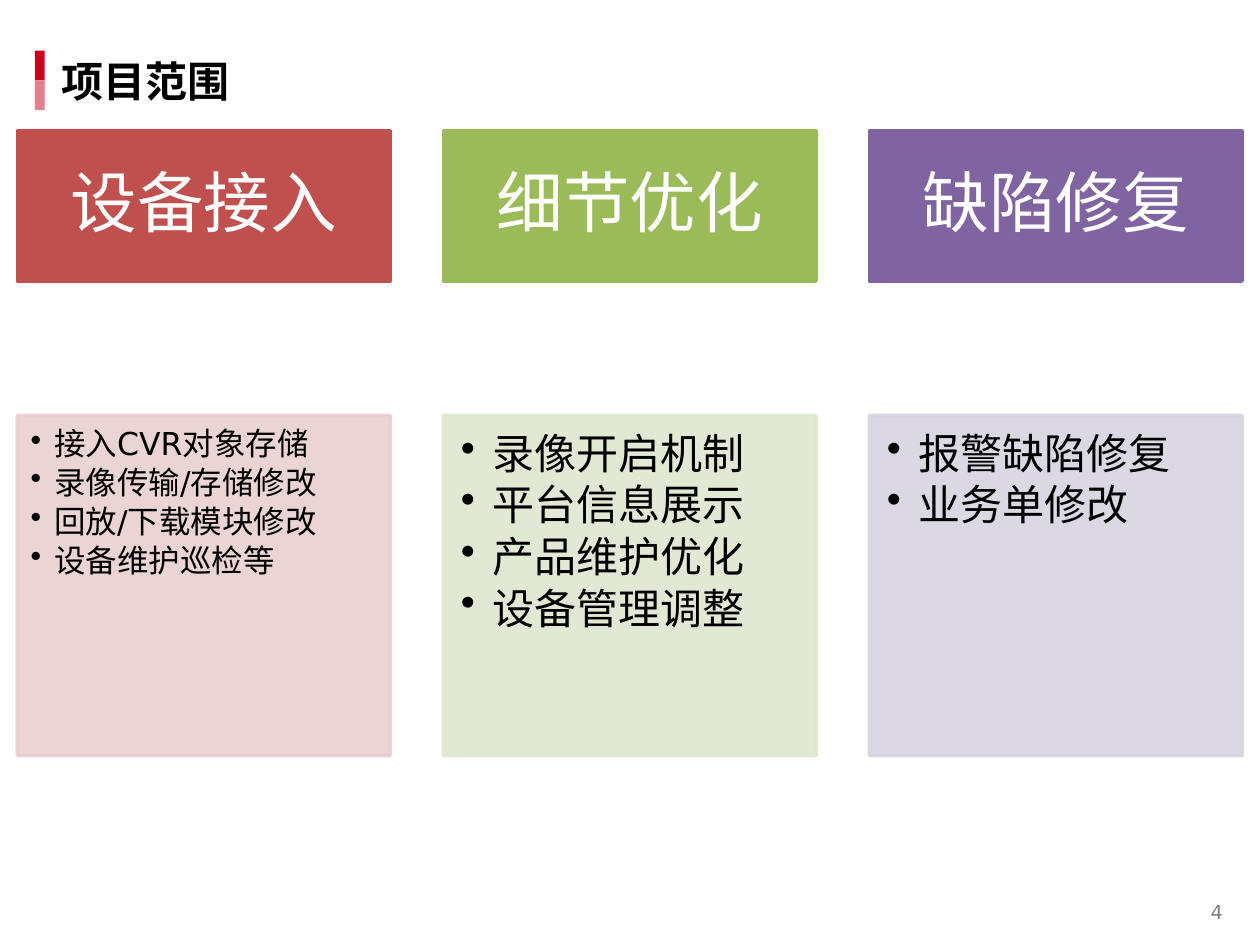
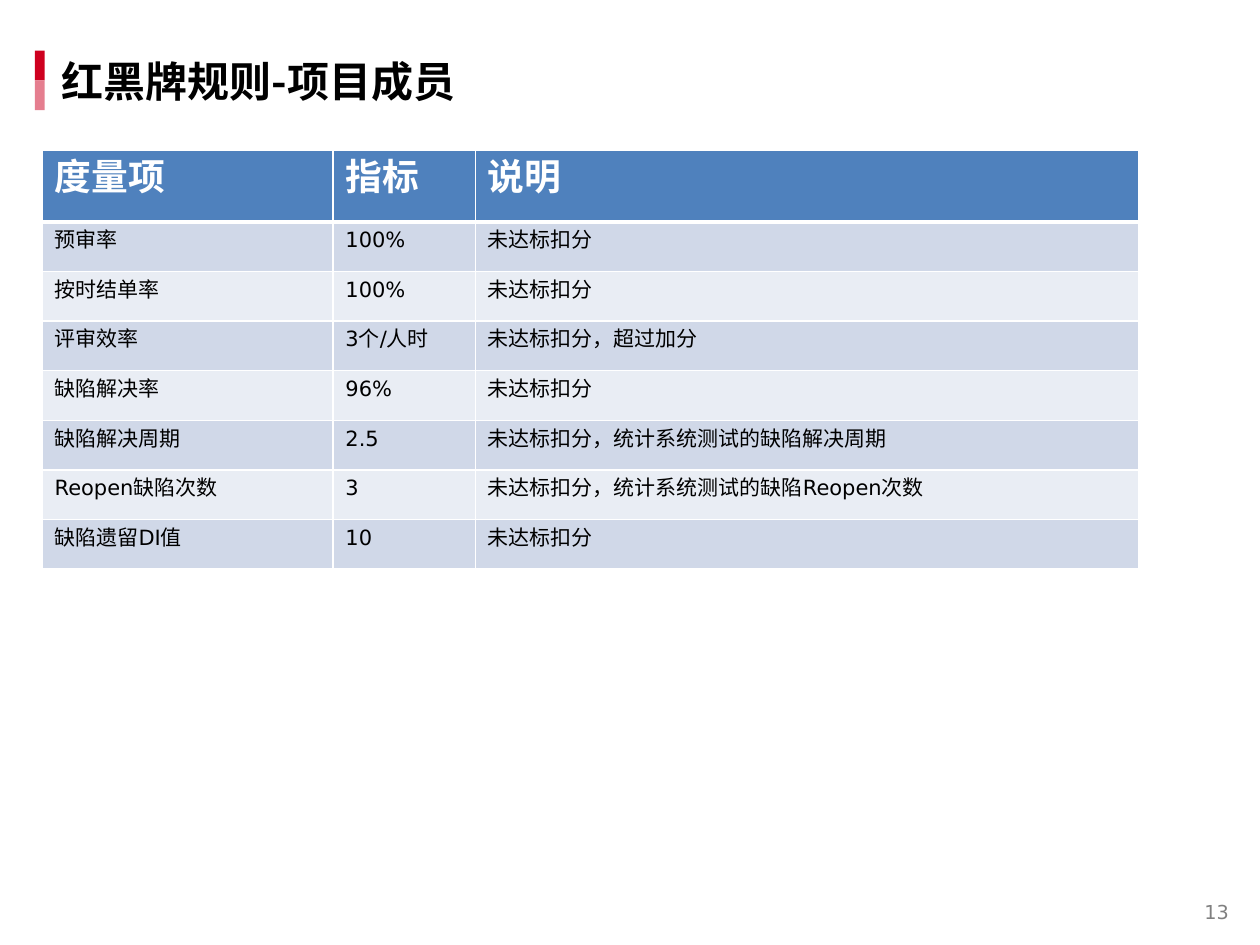
"""Build two project slides: scope cards and a table of scoring rules."""
from dataclasses import dataclass
from typing import Optional

from lxml import etree
from pptx import Presentation
from pptx import util as u
from pptx.dml import color
from pptx.enum import shapes, text
from pptx.oxml import ns

Pt = u.Pt
BODY_FONT = "DejaVu Sans"
TITLE_FONT = "Noto Sans CJK SC"
NUMBER_FONT = "Arial Narrow"
COLORS = {
    "white": "FFFFFF", "black": "000000", "grey": "808080",
    "accent": "CE001F", "accent_light": "E57E8F",
    "red": "C0504D", "red_light": "E8D0D0",
    "green": "9BBB59", "green_light": "DEE7D1",
    "purple": "8064A2", "purple_light": "D8D3E0",
    "header": "4F81BD", "band_dark": "D0D8E8", "band_light": "E9EDF4",
}


@dataclass(frozen=True)
class Area:
    left: float
    top: float
    width: float
    height: float


@dataclass(frozen=True)
class Style:
    size: float
    color: str = "black"
    font: str = BODY_FONT
    bold: bool = False


@dataclass(frozen=True)
class ScopeCard:
    heading: str
    color: str
    size: float
    indent: float
    insets: tuple[float, float, float, float]
    items: tuple[str, ...]


TITLE = Style(24, font=TITLE_FONT, bold=True)
PAGE_NUMBER = Style(11, "grey")
NUMBER_SPACE = Style(15, "grey", NUMBER_FONT)
CARD_HEADING = Style(38, "white")
TABLE_HEADER = Style(21, "white", bold=True)
TABLE_BODY = Style(12)

MARGIN_INSETS = (9.4, 5, 9.4, 5)
HEADING_INSETS = (21.3, 12.2, 21.3, 12.2)
WIDE_INSETS = (10, 10, 13.4, 15)
CARD_LEFT, CARD_STEP, CARD_WIDTH = 10, 243.4, 213
SCOPE_CARDS = (
    ScopeCard("设备接入", "red", 18, 13.5, (7.5, 7.5, 10, 11.3),
              ("接入CVR对象存储", "录像传输/存储修改", "回放/下载模块修改", "设备维护巡检等")),
    ScopeCard("细节优化", "green", 24, 18, WIDE_INSETS,
              ("录像开启机制", "平台信息展示", "产品维护优化", "设备管理调整")),
    ScopeCard("缺陷修复", "purple", 24, 18, WIDE_INSETS,
              ("报警缺陷修复", "业务单修改")),
)

COLUMN_WIDTHS = (166.2, 81.4, 379.4)
HEADER_HEIGHT, ROW_HEIGHT = 40.8, 28.35
MISSED = "未达标扣分"
RULES = (
    ("度量项", "指标", "说明"),
    ("预审率", "100%", MISSED),
    ("按时结单率", "100%", MISSED),
    ("评审效率", "3个/人时", f"{MISSED}，超过加分"),
    ("缺陷解决率", "96%", MISSED),
    ("缺陷解决周期", "2.5", f"{MISSED}，统计系统测试的缺陷解决周期"),
    ("Reopen缺陷次数", "3", f"{MISSED}，统计系统测试的缺陷Reopen次数"),
    ("缺陷遗留DI值", "10", MISSED),
)


def rgb(name: str) -> color.RGBColor:
    return color.RGBColor.from_string(COLORS[name])


def add_node(parent, tag: str, **attributes: str):
    return etree.SubElement(parent, ns.qn(tag), attributes)


def place(area: Area) -> tuple[u.Length, ...]:
    return Pt(area.left), Pt(area.top), Pt(area.width), Pt(area.height)


def add_span(para, words: str, style: Style) -> None:
    span = para.add_run()
    span.text = words
    font = span.font
    font.name, font.size, font.bold = style.font, Pt(style.size), style.bold
    font.color.rgb = rgb(style.color)
    add_node(font._element, "a:ea", typeface=style.font)


def set_frame(frame, insets: tuple[float, ...], anchor) -> None:
    frame.word_wrap = True
    frame.vertical_anchor = anchor
    (frame.margin_left, frame.margin_top,
     frame.margin_right, frame.margin_bottom) = map(Pt, insets)


def set_spacing(para, after_percent: int) -> None:
    para.line_spacing = 0.9
    para.space_after = Pt(0)
    spacing = para._p.pPr.find(ns.qn("a:spcAft"))
    spacing.remove(spacing[0])
    add_node(spacing, "a:spcPct", val=str(after_percent * 1000))


def set_bullet(para, indent: float) -> None:
    properties = para._p.get_or_add_pPr()
    properties.set("marL", str(Pt(indent)))
    properties.set("indent", str(-Pt(indent)))
    add_node(properties, "a:buChar", char="•")


def add_box(page, area: Area, fill: str, line: Optional[float] = None,
            opacity: int = 100):
    box = page.shapes.add_shape(shapes.MSO_SHAPE.RECTANGLE, *place(area))
    box.shadow.inherit = False
    box.fill.solid()
    box.fill.fore_color.rgb = rgb(fill)
    if line is None:
        box.line.fill.background()
    else:
        box.line.color.rgb = rgb(fill)
        box.line.width = Pt(line)
    if opacity < 100:
        for node in box._element.spPr.iter(ns.qn("a:srgbClr")):
            add_node(node, "a:alpha", val=str(opacity * 1000))
    return box


def add_label(page, area: Area):
    box = page.shapes.add_textbox(*place(area))
    set_frame(box.text_frame, MARGIN_INSETS, text.MSO_ANCHOR.MIDDLE)
    return box.text_frame.paragraphs[0]


def add_page(deck, title: str, number: int):
    page = deck.slides.add_slide(deck.slide_layouts[6])
    for index, shade in enumerate(("accent", "accent_light")):
        add_box(page, Area(20, 29 + 17 * index, 5.6, 17), shade)
    para = add_label(page, Area(674, 505.4, 46, 28))
    para.alignment = text.PP_ALIGN.CENTER
    add_span(para, str(number), PAGE_NUMBER)
    add_span(para, " ", NUMBER_SPACE)
    add_span(add_label(page, Area(26, 29, 409, 34.6)), title, TITLE)
    return page


def add_scope_card(page, card: ScopeCard, left: float) -> None:
    heading = add_box(page, Area(left, 75, CARD_WIDTH, 85.6), card.color, 2)
    set_frame(heading.text_frame, HEADING_INSETS, text.MSO_ANCHOR.MIDDLE)
    para = heading.text_frame.paragraphs[0]
    para.alignment = text.PP_ALIGN.CENTER
    set_spacing(para, 35)
    add_span(para, card.heading, CARD_HEADING)

    body = add_box(page, Area(left, 237.4, CARD_WIDTH, 194.4),
                   f"{card.color}_light", 2, 90)
    frame = body.text_frame
    set_frame(frame, card.insets, text.MSO_ANCHOR.TOP)
    for index, item in enumerate(card.items):
        para = frame.add_paragraph() if index else frame.paragraphs[0]
        para.alignment = text.PP_ALIGN.LEFT
        set_spacing(para, 15)
        set_bullet(para, card.indent)
        add_span(para, item, Style(card.size))


def set_borders(cell, bottom: float, top: float) -> None:
    properties = cell._tc.get_or_add_tcPr()
    edges = (("L", 1), ("R", 1), ("T", top), ("B", bottom))
    for position, (side, width) in enumerate(edges):
        edge = etree.Element(ns.qn(f"a:ln{side}"), w=str(Pt(width)))
        fill = add_node(edge, "a:solidFill")
        add_node(fill, "a:srgbClr", val=COLORS["white"])
        properties.insert(position, edge)


def add_rules_table(page) -> None:
    height = HEADER_HEIGHT + ROW_HEIGHT * (len(RULES) - 1)
    area = Area(24, 86, sum(COLUMN_WIDTHS), height)
    table = page.shapes.add_table(len(RULES), len(COLUMN_WIDTHS), *place(area)).table
    for column, width in zip(table.columns, COLUMN_WIDTHS):
        column.width = Pt(width)
    for index, (row, rule) in enumerate(zip(table.rows, RULES)):
        row.height = Pt(ROW_HEIGHT if index else HEADER_HEIGHT)
        band = ("band_dark" if index % 2 else "band_light") if index else "header"
        for cell, words in zip(row.cells, rule):
            cell.fill.solid()
            cell.fill.fore_color.rgb = rgb(band)
            set_borders(cell, bottom=1 if index else 3, top=3 if index == 1 else 1)
            add_span(cell.text_frame.paragraphs[0], words,
                     TABLE_BODY if index else TABLE_HEADER)


def main() -> None:
    deck = Presentation()
    deck.slide_width, deck.slide_height = Pt(720), Pt(540)
    scope = add_page(deck, "项目范围", 4)
    for index, card in enumerate(SCOPE_CARDS):
        add_scope_card(scope, card, CARD_LEFT + CARD_STEP * index)
    add_rules_table(add_page(deck, "红黑牌规则-项目成员", 13))
    deck.save("out.pptx")


if __name__ == "__main__":
    main()
